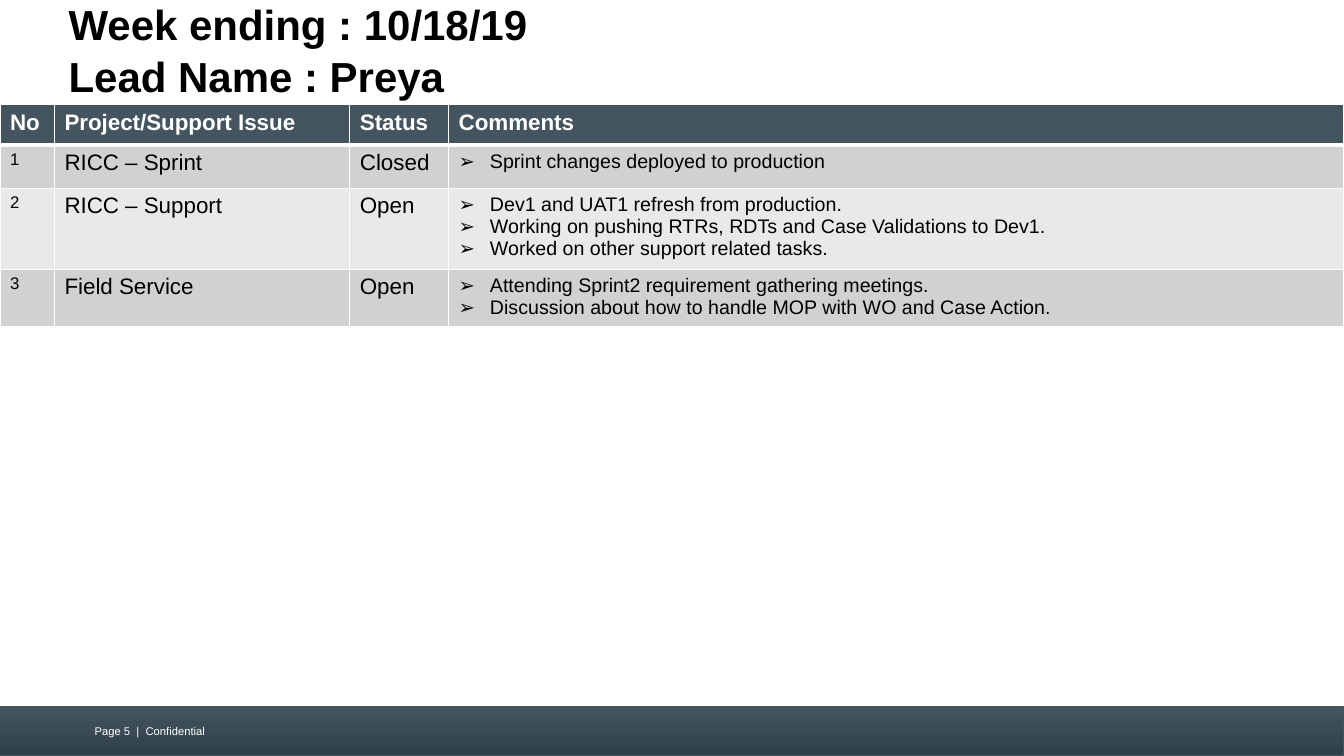
import copy
from dataclasses import dataclass

import pptx
import pptx.enum.shapes
import pptx.enum.text
import pptx.oxml
import pptx.oxml.ns
import pptx.util
from pptx.dml.color import RGBColor
from pptx.util import Inches

FONT = "Arial"
BLACK = RGBColor(0x00, 0x00, 0x00)
WHITE = RGBColor(0xFF, 0xFF, 0xFF)
SLATE = RGBColor(0x45, 0x55, 0x60)
DARK_SLATE = RGBColor(0x30, 0x40, 0x4B)
BAR_LINE = RGBColor(0x43, 0x53, 0x5F)
BANDS = (RGBColor(0xCF, 0xD1, 0xD2), RGBColor(0xE9, 0xE9, 0xEA))

HEADERS = ("No", "Project/Support Issue", "Status", "Comments")
COLUMN_WIDTHS = (0.54, 2.93, 0.98, 8.88)
HEADER_HEIGHT = 0.4
ISSUE_HEIGHT = 0.43
TABLE_HEIGHT = 2.33


@dataclass
class Issue:
    project: str
    status: str
    comments: list[str]


ISSUES = [
    Issue("RICC – Sprint", "Closed", ["Sprint changes deployed to production"]),
    Issue("RICC – Support", "Open", [
        "Dev1 and UAT1 refresh from production.",
        "Working on pushing RTRs, RDTs and Case Validations to Dev1.",
        "Worked on other support related tasks.",
    ]),
    Issue("Field Service", "Open", [
        "Attending Sprint2 requirement gathering meetings.",
        "Discussion about how to handle MOP with WO and Case Action.",
    ]),
]


def add_bullet(p) -> None:
    pPr = p._p.get_or_add_pPr()
    pPr.set("marL", str(Inches(0.31)))
    pPr.set("indent", str(-Inches(0.31)))
    ns = pptx.oxml.ns.nsdecls("a")
    pPr.append(pptx.oxml.parse_xml(f'<a:buFont {ns} typeface="{FONT}"/>'))
    pPr.append(pptx.oxml.parse_xml(f'<a:buChar {ns} char="➢"/>'))


def write(tf, paragraphs: list[str], *, size: float, color: RGBColor = BLACK,
          bold: bool = False, bullet: bool = False, spacing: float | None = None) -> None:
    """Write one paragraph per string; a newline inside one is a line break."""
    for i, text in enumerate(paragraphs):
        p = tf.paragraphs[0] if i == 0 else tf.add_paragraph()
        p.alignment = pptx.enum.text.PP_ALIGN.LEFT
        p.space_before = pptx.util.Pt(0)
        if spacing:
            p.line_spacing = spacing
        if bullet:
            add_bullet(p)
        for j, line in enumerate(text.split("\n")):
            if j:
                p.add_line_break()
                p._p[-1].append(copy.deepcopy(r.font._element))
            r = p.add_run()
            r.text = line
            r.font.name = FONT
            r.font.size = pptx.util.Pt(size)
            r.font.bold = bold
            r.font.color.rgb = color


def set_borders(cell, widths: dict[str, float]) -> None:
    tcPr = cell._tc.get_or_add_tcPr()
    for i, (side, width) in enumerate(widths.items()):
        tcPr.insert(i, pptx.oxml.parse_xml(
            f'<a:{side} {pptx.oxml.ns.nsdecls("a")} w="{pptx.util.Pt(width)}">'
            f'<a:solidFill><a:srgbClr val="{WHITE}"/></a:solidFill></a:{side}>'))


def add_footer(s) -> None:
    bar = s.shapes.add_shape(pptx.enum.shapes.MSO_SHAPE.RECTANGLE,
                             0, Inches(7.01), Inches(13.33), Inches(0.49))
    bar.shadow.inherit = False
    bar.fill.gradient()
    bar.fill.gradient_angle = 270
    for stop, color in zip(bar.fill.gradient_stops, (SLATE, DARK_SLATE)):
        stop.color.rgb = color
    bar.line.color.rgb = BAR_LINE
    bar.line.width = pptx.util.Pt(0.75)

    sp = s.shapes.add_textbox(Inches(0.84), Inches(7.14), Inches(3.11), Inches(0.26))
    sp.text_frame.word_wrap = True
    write(sp.text_frame, ["Page 5  |  Confidential"], size=8, color=WHITE)


def add_title(s) -> None:
    sp = s.shapes.title
    sp.left, sp.top = Inches(0.68), Inches(0.08)
    sp.width, sp.height = Inches(11.33), Inches(0.81)
    sp.fill.solid()
    sp.fill.fore_color.rgb = WHITE
    tf = sp.text_frame
    tf.auto_size = pptx.enum.text.MSO_AUTO_SIZE.NONE
    tf.vertical_anchor = pptx.enum.text.MSO_ANCHOR.MIDDLE
    tf.margin_left = tf.margin_right = 0
    write(tf, ["Week ending : 10/18/19 \nLead Name : Preya"],
          size=30, bold=True, spacing=1.04)


def add_status_table(s) -> None:
    frame = s.shapes.add_table(len(ISSUES) + 1, len(HEADERS), 0, Inches(1.04),
                               Inches(sum(COLUMN_WIDTHS)), Inches(TABLE_HEIGHT))
    table = frame.table
    for column, width in zip(table.columns, COLUMN_WIDTHS):
        column.width = Inches(width)
    for i, row in enumerate(table.rows):
        row.height = Inches(ISSUE_HEIGHT if i else HEADER_HEIGHT)
    frame.height = Inches(TABLE_HEIGHT)

    # Header row
    for j, header in enumerate(HEADERS):
        write(table.cell(0, j).text_frame, [header], size=16, color=WHITE, bold=True)

    # Issue rows
    for i, issue in enumerate(ISSUES, start=1):
        number, project, status, comments = (c.text_frame for c in table.rows[i].cells)
        write(number, [str(i)], size=12)
        write(project, [issue.project], size=16)
        write(status, [issue.status], size=16)
        write(comments, issue.comments, size=14, bullet=True)

    # Fills and borders
    for i, row in enumerate(table.rows):
        for cell in row.cells:
            cell.fill.solid()
            cell.fill.fore_color.rgb = BANDS[(i - 1) % 2] if i else SLATE
            set_borders(cell, {"lnL": 1, "lnR": 1, "lnT": 3 if i == 1 else 1,
                               "lnB": 1 if i else 3})


def main() -> None:
    prs = pptx.Presentation()
    prs.slide_width, prs.slide_height = Inches(13.33), Inches(7.5)
    s = prs.slides.add_slide(prs.slide_layouts[5])
    add_footer(s)
    add_title(s)
    add_status_table(s)
    prs.save("out.pptx")


if __name__ == "__main__":
    main()
